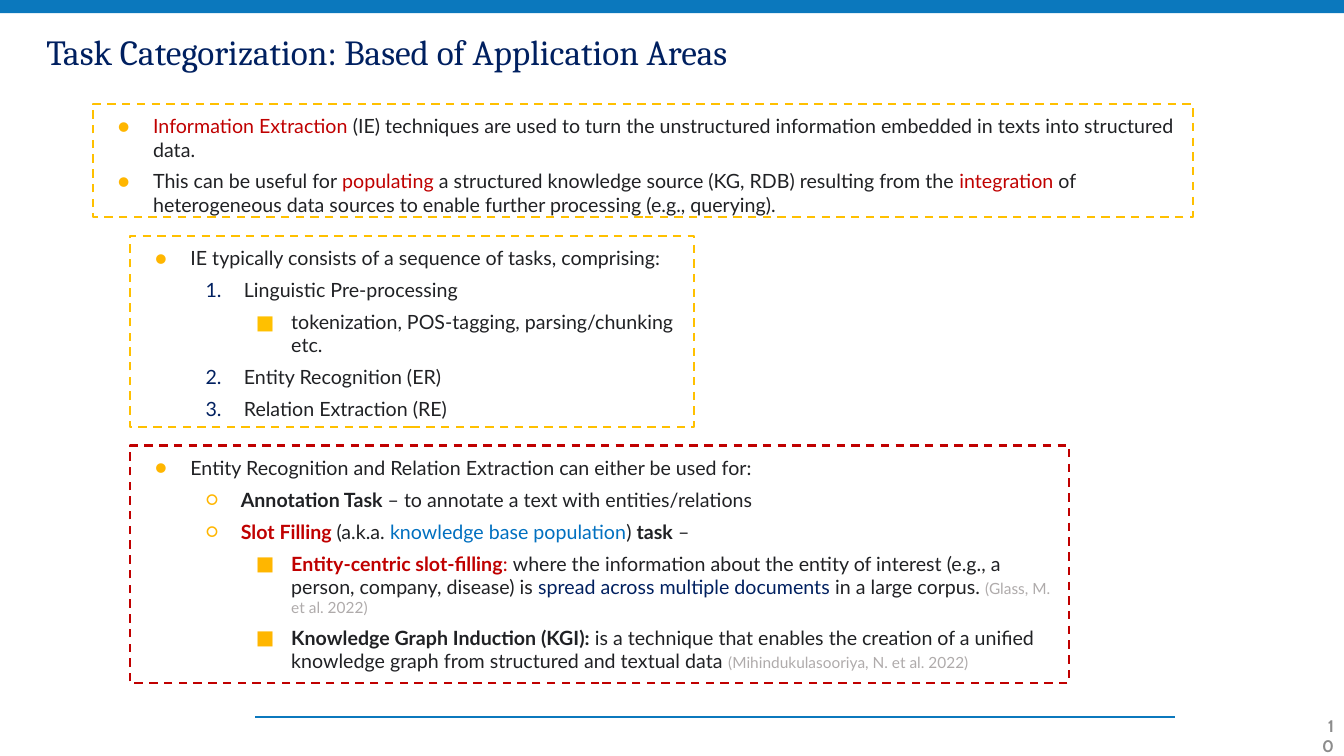
"""Build the slide on task categorization by application area."""
from lxml import etree
from pptx import Presentation
from pptx.dml.color import RGBColor
from pptx.enum.dml import MSO_LINE
from pptx.enum.shapes import MSO_CONNECTOR, MSO_SHAPE
from pptx.enum.text import MSO_ANCHOR, PP_ALIGN
from pptx.oxml.ns import qn
from pptx.util import Inches, Pt

DASH = MSO_LINE.DASH
STRAIGHT = MSO_CONNECTOR.STRAIGHT
RECTANGLE = MSO_SHAPE.RECTANGLE
TOP, MIDDLE = MSO_ANCHOR.TOP, MSO_ANCHOR.MIDDLE
LEFT, RIGHT = PP_ALIGN.LEFT, PP_ALIGN.RIGHT

BLUE = RGBColor(0x0B, 0x78, 0xBD)
LINK_BLUE = RGBColor(0x00, 0x70, 0xC0)
NAVY = RGBColor(0x00, 0x20, 0x60)
GOLD = RGBColor(0xFF, 0xC0, 0x00)
AMBER = RGBColor(0xFF, 0xB6, 0x00)
RED = RGBColor(0xC0, 0x00, 0x00)
INK = RGBColor(0x20, 0x21, 0x24)
GREY = RGBColor(0x8C, 0x8C, 0x8C)
PALE = RGBColor(0xAF, 0xAB, 0xAB)

WIDTH, HEIGHT = 13.33, 7.5
MARGIN, INDENT_LEFT = 0.92, 1.29
TITLE = "Task Categorization: Based of Application Areas"
PAGE_NUMBER = "10"

RUN_STYLES = {
    "plain": (14, INK, False),
    "bold": (14, INK, True),
    "red": (14, RED, False),
    "red bold": (14, RED, True),
    "navy": (14, NAVY, False),
    "link": (14, LINK_BLUE, False),
    "cite": (11, PALE, False),
}

LIST_STYLES = {
    "point": (0, 0.5, 0.35, "●", AMBER),
    "step": (1, 1.03, 0.38, None, NAVY),
    "use": (1, 1.0, 0.35, "○", AMBER),
    "example": (2, 1.5, 0.35, "■", GOLD),
    "detail": (2, 1.5, 0.35, "■", AMBER),
}

CARDS = [
    ((MARGIN, 1.03, 10.91, 1.12), GOLD, [
        ("point", [
            ("Information Extraction", "red"),
            (" (IE) techniques are used to turn the unstructured information "
             "embedded in texts into structured data.", "plain")]),
        ("point", [
            ("This can be useful for ", "plain"),
            ("populating", "red"),
            (" a structured knowledge source (KG, RDB) resulting from the ", "plain"),
            ("integration", "red"),
            (" of heterogeneous data sources to enable further processing "
             "(e.g., querying).", "plain")]),
    ]),
    ((INDENT_LEFT, 2.34, 5.59, 1.9), GOLD, [
        ("point", [("IE typically consists of a sequence of tasks, comprising:", "plain")]),
        ("step", [("Linguistic Pre-processing", "plain")]),
        ("example", [("tokenization, POS-tagging, parsing/chunking etc.", "plain")]),
        ("step", [("Entity Recognition (ER)", "plain")]),
        ("step", [("Relation Extraction (RE)", "plain")]),
    ]),
    ((INDENT_LEFT, 4.42, 9.31, 2.36), RED, [
        ("point", [("Entity Recognition and Relation Extraction can either be used for:",
                    "plain")]),
        ("use", [
            ("Annotation Task ", "bold"),
            ("– to annotate a text with entities/relations", "plain")]),
        ("use", [
            ("Slot Filling ", "red bold"),
            ("(a.k.a. ", "plain"),
            ("knowledge base population", "link"),
            (") ", "plain"),
            ("task", "bold"),
            (" –", "plain")]),
        ("detail", [
            ("Entity-centric slot-filling", "red bold"),
            (": ", "red"),
            ("where the information about the entity of interest (e.g., a person, "
             "company, disease) is ", "plain"),
            ("spread across multiple documents", "navy"),
            (" in a large corpus. ", "plain"),
            ("(Glass, M. et al. 2022)", "cite")]),
        ("detail", [
            ("Knowledge Graph Induction (KGI): ", "bold"),
            ("is a technique that enables the creation of a unified knowledge graph "
             "from structured and textual data ", "plain"),
            ("(Mihindukulasooriya, N. et al. 2022)", "cite")]),
    ]),
]


def add_span(para, text, font, size, color, bold=False):
    """Append one formatted run."""
    span = para.add_run()
    span.text = text
    span.font.name = font
    span.font.size = Pt(size)
    span.font.color.rgb = color
    span.font.bold = bold


def set_bullet(para, list_style):
    """Give a paragraph its level, indents and bullet or number."""
    level, margin, hanging, symbol, color = LIST_STYLES[list_style]
    para.level = level
    properties = para._p.get_or_add_pPr()
    properties.set("marL", str(Inches(margin)))
    properties.set("indent", str(-Inches(hanging)))
    bullet_color = etree.SubElement(properties, qn("a:buClr"))
    etree.SubElement(bullet_color, qn("a:srgbClr"), val=str(color))
    etree.SubElement(properties, qn("a:buFont"), typeface="Lato")
    if symbol:
        etree.SubElement(properties, qn("a:buChar"), char=symbol)
    else:
        etree.SubElement(properties, qn("a:buAutoNum"), type="arabicPeriod")


def add_card(page, place, border, items):
    """Draw a dashed box holding a multilevel list."""
    box = page.shapes.add_shape(RECTANGLE, *map(Inches, place))
    box.shadow.inherit = False
    box.fill.background()
    box.line.color.rgb = border
    box.line.width = Pt(1.5)
    box.line.dash_style = DASH
    frame = box.text_frame
    frame.word_wrap = True
    frame.vertical_anchor = TOP
    frame.margin_left = frame.margin_right = Inches(0.1)
    frame.margin_top = frame.margin_bottom = Inches(0.1)
    for index, (list_style, spans) in enumerate(items):
        para = frame.add_paragraph() if index else frame.paragraphs[0]
        para.alignment = LEFT
        para.space_before = Pt(6)
        set_bullet(para, list_style)
        for text, run_style in spans:
            size, color, bold = RUN_STYLES[run_style]
            add_span(para, text, "Lato", size, color, bold)


def add_frame(page):
    """Draw the top band, the footer rule and the page number."""
    band = page.shapes.add_shape(RECTANGLE, 0, 0, Inches(WIDTH), Inches(0.13))
    band.shadow.inherit = False
    band.fill.solid()
    band.fill.fore_color.rgb = BLUE
    band.line.fill.background()

    rule = page.shapes.add_connector(
        STRAIGHT, Inches(11.65), Inches(7.11), Inches(2.53), Inches(7.11))
    rule.line.color.rgb = BLUE
    rule.line.width = Pt(1.5)
    etree.SubElement(rule._element.spPr, qn("a:effectLst"))

    number = page.shapes.add_textbox(
        Inches(WIDTH - 0.36), Inches(HEIGHT - 0.4), Inches(0.36), Inches(0.4))
    number.text_frame.word_wrap = True
    number.text_frame.vertical_anchor = MIDDLE
    para = number.text_frame.paragraphs[0]
    para.alignment = RIGHT
    add_span(para, PAGE_NUMBER, "Cabin", 12, GREY, True)


def add_title(page):
    """Place and format the title."""
    title = page.shapes.title
    title.left, title.top = Inches(0.36), Inches(0.23)
    title.width, title.height = Inches(7.58), Inches(0.61)
    title.text_frame.vertical_anchor = MIDDLE
    para = title.text_frame.paragraphs[0]
    para.alignment = LEFT
    para.line_spacing = 0.9
    add_span(para, TITLE, "Cambria", 25.2, NAVY)


def main():
    """Assemble and save the deck."""
    deck = Presentation()
    deck.slide_width, deck.slide_height = Inches(WIDTH), Inches(HEIGHT)
    page = deck.slides.add_slide(deck.slide_layouts.get_by_name("Title Only"))
    add_frame(page)
    add_title(page)
    for place, border, items in CARDS:
        add_card(page, place, border, items)
    deck.save("out.pptx")


if __name__ == "__main__":
    main()
